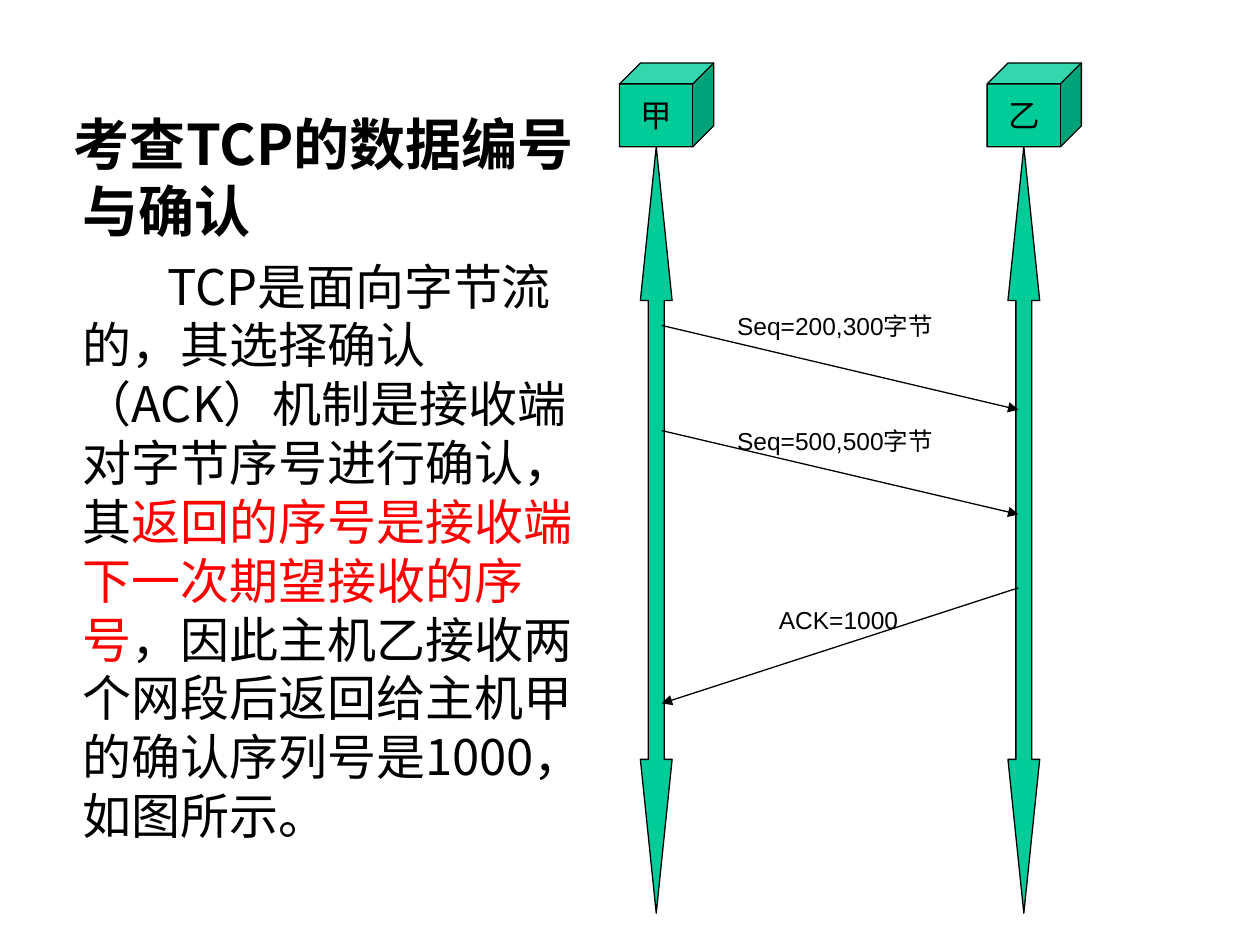
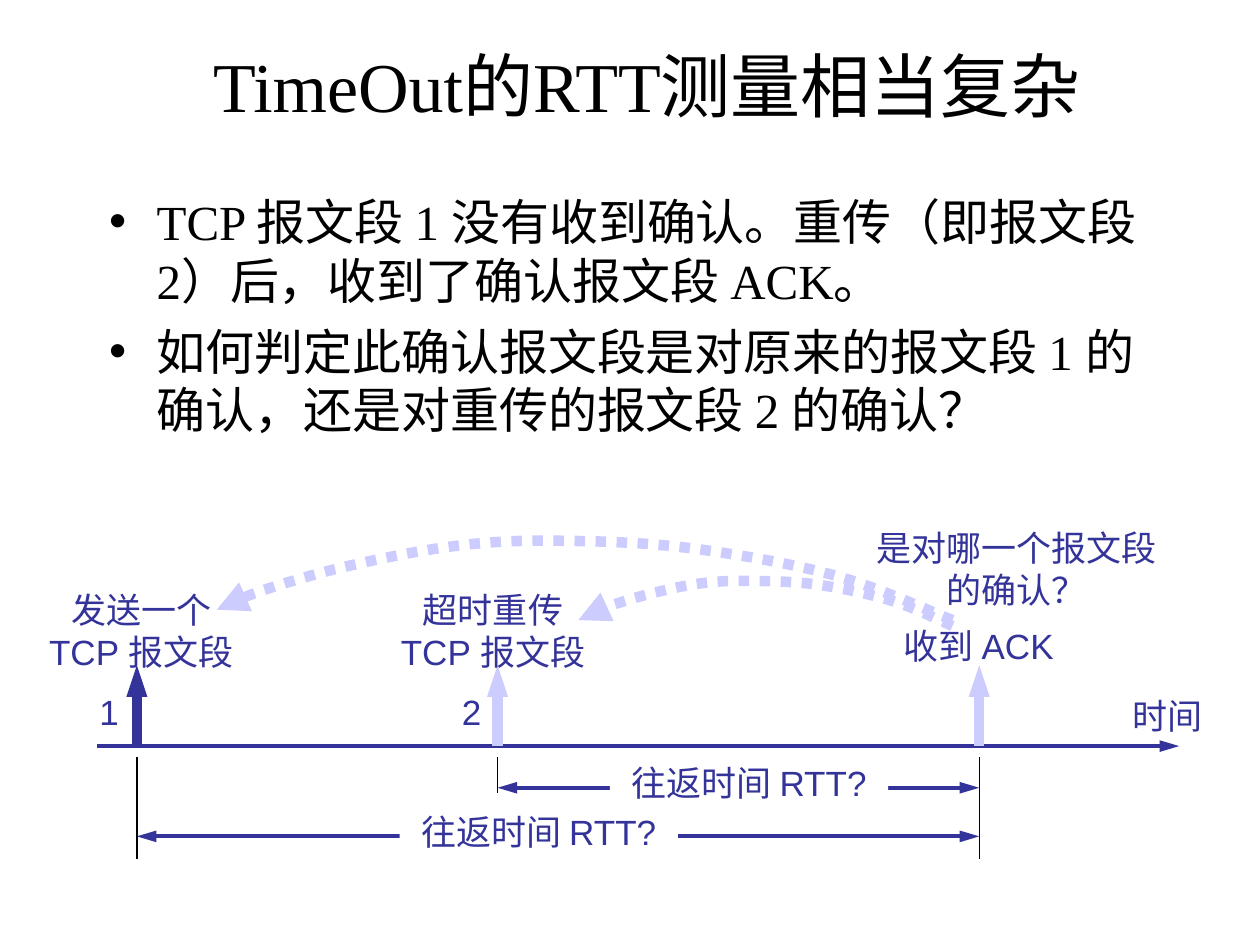
"""Build two slides on TCP numbering and round-trip timing."""
from dataclasses import dataclass

from lxml.etree import SubElement as Sub
from pptx import Presentation as Deck
from pptx.dml.color import RGBColor as RGB
from pptx.enum.dml import MSO_LINE as Dash
from pptx.enum.shapes import MSO_CONNECTOR as Link, MSO_SHAPE as Kind
from pptx.enum.text import MSO_ANCHOR as Anchor, PP_ALIGN as Align
from pptx.oxml.ns import qn
from pptx.util import Cm, Pt


@dataclass(frozen=True)
class Theme:
    """Colours, fonts and type sizes of the deck."""
    ink: str = "000000"
    paper: str = "FFFFFF"
    green: str = "00CC99"
    red: str = "FF0000"
    navy: str = "333399"
    pale: str = "CCCCFF"
    sans: str = "Arial"
    serif: str = "Times New Roman"
    han: str = "Noto Sans CJK SC"
    title: int = 40
    head: int = 32
    body: int = 28
    label: int = 20
    host: int = 18
    note: int = 14
    thin: float = 0.75
    mid: float = 2.25
    thick: int = 6


T = Theme()


def add_run(para, text, size, font=T.sans, color=T.ink, bold=False):
    """Add one run with its Latin and Chinese fonts."""
    run = para.add_run()
    run.text = text
    run.font.size, run.font.name, run.font.bold = Pt(size), font, bold
    run.font.color.rgb = RGB.from_string(color)
    Sub(run._r.get_or_add_rPr(), qn("a:ea"), typeface=T.han)


def add_para(frame, align=Align.LEFT, before=0):
    """Return the next paragraph, spaced only when it is not the first."""
    para = frame.paragraphs[0]
    if para.runs:
        para = frame.add_paragraph()
        para.space_before = Pt(before)
    para.alignment = align
    return para


def set_indent(para, first, dot=False):
    """Hang a paragraph from the shared margin, with a bullet if asked."""
    props = para._p.get_or_add_pPr()
    props.set("marL", str(Cm(0.96)))
    props.set("indent", str(Cm(first)))
    props.set("hangingPunct", "0")
    if dot:
        Sub(props, qn("a:buFont"), typeface=T.sans)
        Sub(props, qn("a:buChar"), char="•")


def add_box(pen, x, y, wide, high, wrap=True):
    """Add a text box and return it."""
    box = pen.add_textbox(Cm(x), Cm(y), Cm(wide), Cm(high))
    box.text_frame.word_wrap = wrap
    return box


def add_label(pen, mid, top, *lines, wide=5.61, fill=None):
    """Add navy lines of text centred on a point."""
    high = 0.28 + 0.84 * len(lines)
    box = add_box(pen, mid - wide / 2, top, wide, high, False)
    if fill:
        box.fill.solid()
        box.fill.fore_color.rgb = RGB.from_string(fill)
    for line in lines:
        para = add_para(box.text_frame, Align.CENTER)
        add_run(para, line, T.label, color=T.navy)


def add_solid(pen, kind, x, y, wide, high):
    """Add a green preset shape with a thin outline."""
    shape = pen.add_shape(kind, Cm(x), Cm(y), Cm(wide), Cm(high))
    shape.shadow.inherit = False
    shape.fill.solid()
    shape.fill.fore_color.rgb = RGB.from_string(T.green)
    shape.line.color.rgb = RGB.from_string(T.ink)
    shape.line.width = Pt(T.thin)
    return shape


def set_line(shape, color, width, ends=(), wide="med", long="med"):
    """Style a line and put arrowheads on the named ends."""
    shape.line.color.rgb = RGB.from_string(color)
    shape.line.width = Pt(width)
    for end in ends:
        Sub(shape.line._get_or_add_ln(), qn(f"a:{end}End"),
            type="triangle", w=wide, len=long)


def add_line(pen, x1, y1, x2, y2, color=T.ink, width=T.thin, ends=(), **size):
    """Add a straight line without a shadow."""
    line = pen.add_connector(Link.STRAIGHT, Cm(x1), Cm(y1), Cm(x2), Cm(y2))
    set_line(line, color, width, ends, **size)
    Sub(line._element.spPr, qn("a:effectLst"))


def blend(a, b, c, d, t):
    """Return a Catmull-Rom value between b and c."""
    return (2 * b + (c - a) * t + (2 * a - 5 * b + 4 * c - d) * t ** 2
            + (3 * b - a - 3 * c + d) * t ** 3) / 2


def add_curve(pen, knots, steps=6):
    """Draw a dotted arrow smoothly through the knots."""
    ring = [knots[0], *knots, knots[-1]]
    spots = [tuple(Cm(blend(*axis, step / steps)) for axis in zip(*ring[i:i + 4]))
             for i in range(len(knots) - 1) for step in range(1, steps + 1)]
    path = pen.build_freeform(*map(Cm, knots[0]))
    path.add_line_segments(spots, close=False)
    curve = path.convert_to_shape()
    curve.shadow.inherit = False
    curve.fill.background()
    curve.line.dash_style = Dash.ROUND_DOT
    set_line(curve, T.pale, T.thick, ["tail"])


def add_host(pen, x, name):
    """Add a host cube with its time arrow below."""
    cube = add_solid(pen, Kind.CUBE, x, 1.27, 1.9, 1.69)
    frame = cube.text_frame
    frame.word_wrap = False
    frame.vertical_anchor = Anchor.MIDDLE
    add_run(add_para(frame, Align.CENTER), name, T.host)
    arrow = add_solid(pen, Kind.UP_DOWN_ARROW, x + 0.42, 2.96, 0.64, 15.45)
    guides = arrow._element.spPr.find(qn("a:prstGeom")).find(qn("a:avLst"))
    guides.clear()
    for key, size in (("adj1", 50000), ("adj2", 484400)):
        Sub(guides, qn("a:gd"), name=key, fmla=f"val {size}")


def add_note(pen, x, y, wide, text):
    """Add a small message label."""
    box = add_box(pen, x, y, wide, 0.86)
    add_run(add_para(box.text_frame), text, T.note)


def draw_ack(slide):
    """Draw the numbering and acknowledgement slide."""
    pen = slide.shapes.add_group_shape().shapes
    for x, name in ((12.49, "甲"), (19.9, "乙")):
        add_host(pen, x, name)
    left, right = 13.34, 20.53
    for x1, y1, x2, y2 in ((left, 6.56, right, 8.26),
                           (left, 8.68, right, 10.37),
                           (right, 11.85, left, 14.18)):
        add_line(pen, x1, y1, x2, y2, ends=["tail"])
    add_note(pen, 14.61, 6.14, 5.08, "Seq=200,300字节")
    add_note(pen, 14.61, 8.46, 5.08, "Seq=500,500字节")
    add_note(pen, 15.45, 12.07, 2.96, "ACK=1000")

    frame = add_box(slide.shapes, 0.46, 2.08, 11.8, 10.69).text_frame
    para = add_para(frame)
    set_indent(para, -0.18)
    add_run(para, "考查TCP的数据编号与确认", T.head, T.han, bold=True)
    para = add_para(frame, before=7)
    set_indent(para, 1.7)
    for text, color in (
            ("TCP是面向字节流的，其选择确认（ACK）机制是接收端对字节序号进行确认，其", T.ink),
            ("返回的序号是接收端下一次期望接收的序号", T.red),
            ("，因此主机乙接收两个网段后返回给主机甲的确认序列号是1000，如图所示。", T.ink)):
        add_run(para, text, T.body, T.han, color)


def draw_rtt(slide):
    """Draw the round-trip measurement slide."""
    pen = slide.shapes
    frame = add_box(pen, 3.02, 0.79, 20.04, 1.83).text_frame
    frame.vertical_anchor = Anchor.MIDDLE
    add_run(add_para(frame, Align.CENTER), "TimeOut的RTT测量相当复杂", T.title, T.serif)
    frame = add_box(pen, 1.95, 3.73, 21.5, 5.41).text_frame
    for text in ("TCP 报文段 1 没有收到确认。重传（即报文段 2）后，收到了确认报文段 ACK。",
                 "如何判定此确认报文段是对原来的报文段 1 的确认，还是对重传的报文段 2 的确认？"):
        para = add_para(frame, before=7)
        set_indent(para, -0.96, dot=True)
        add_run(para, text, T.body, T.serif)

    sent, again, reply, axis = 2.76, 10.03, 19.74, 15.04
    for x, y, mid in ((again, 15.88, 15.1), (sent, 16.86, 10.86)):
        add_line(pen, x, y, reply, y, T.navy, T.mid, ["head", "tail"], long="lg")
        add_label(pen, mid, y - 0.65, "往返时间 RTT?", fill=T.paper)
    add_line(pen, 1.95, axis, 23.77, axis, T.navy, T.mid, ["tail"], long="lg")
    for x, color, foot in ((sent, T.navy, 17.32), (again, T.pale, 15.98),
                           (reply, T.pale, 17.32)):
        add_line(pen, x, axis, x, 13.41, color, T.thick, ["tail"], wide="sm")
        add_line(pen, x, 15.27, x, foot)

    add_curve(pen, [(19.2, 12.62), (18.01, 12.12), (16.51, 11.79), (15.16, 11.71),
                    (14.12, 11.76), (13.03, 11.99), (12.14, 12.27), (11.66, 12.5)])
    add_curve(pen, [(19.2, 12.5), (16.87, 11.61), (13.92, 11.05), (11.25, 10.9),
                    (9.22, 11), (7.06, 11.4), (5.33, 11.89), (4.37, 12.29)])

    add_label(pen, 2.85, 11.73, "发送一个", "TCP 报文段", wide=4.8)
    add_label(pen, 9.94, 11.73, "超时重传", "TCP 报文段", wide=4.8)
    add_label(pen, 20.5, 10.49, "是对哪一个报文段", "的确认？", wide=7)
    add_label(pen, 19.73, 12.46, "收到 ACK", wide=4.4)
    add_label(pen, 23.53, 13.87, "时间", wide=2.6)
    add_label(pen, 2.2, 13.8, "1", wide=1)
    add_label(pen, 9.51, 13.8, "2", wide=1)


def main():
    """Build and save the deck."""
    deck = Deck()
    deck.slide_width, deck.slide_height = Cm(25.4), Cm(19.05)
    for draw in (draw_ack, draw_rtt):
        draw(deck.slides.add_slide(deck.slide_layouts[6]))
    deck.save("out.pptx")


if __name__ == "__main__":
    main()
